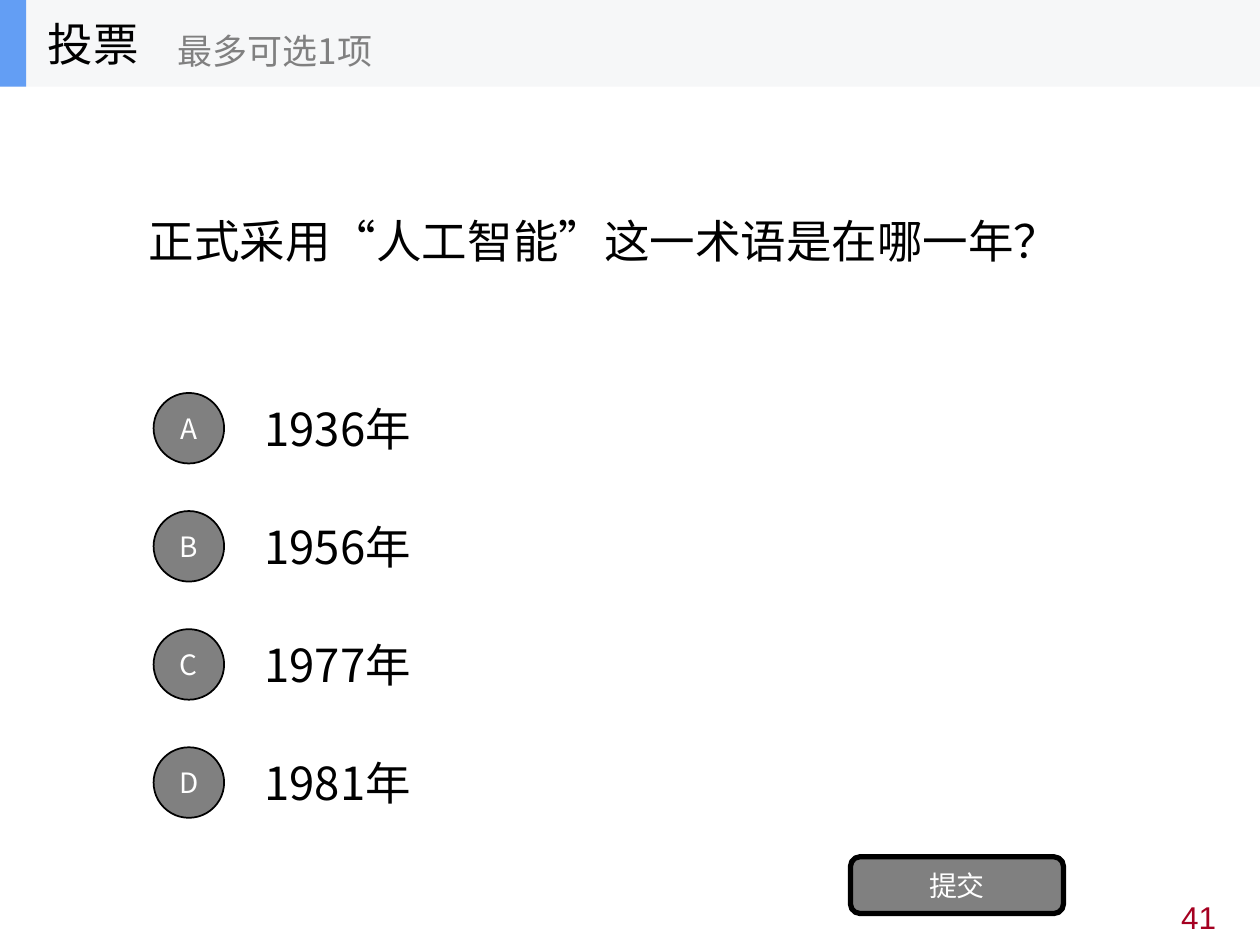
from dataclasses import dataclass

from lxml import etree
from pptx import Presentation
from pptx.dml.color import RGBColor
from pptx.enum import lang, shapes, text
from pptx.oxml import ns
from pptx.util import Pt

COLORS = {
    "black": "000000",
    "white": "FFFFFF",
    "gray": "808080",
    "band": "F6F7F8",
    "accent": "639EF4",
    "page": "A50021",
}
CJK_FONT = "Noto Sans CJK SC"
OPTION_TOP, OPTION_STEP, OPTION_HEIGHT = 219.5, 67.5, 50.4
BADGE_LEFT, BADGE_SIZE = 87.8, 40.3


@dataclass(frozen=True)
class Box:
    left: float
    top: float
    width: float
    height: float

    def points(self) -> tuple:
        return tuple(Pt(n) for n in (self.left, self.top, self.width, self.height))


@dataclass(frozen=True)
class Option:
    letter: str
    answer: str


OPTIONS = [
    Option("A", "1936年"),
    Option("B", "1956年"),
    Option("C", "1977年"),
    Option("D", "1981年"),
]


def write(shape, wording: str, *, size: float = 26, color: str = "black",
          font: str = CJK_FONT, align=text.PP_ALIGN.LEFT,
          anchor=text.MSO_ANCHOR.MIDDLE) -> None:
    frame = shape.text_frame
    frame.word_wrap = True
    frame.vertical_anchor = anchor
    paragraph = frame.paragraphs[0]
    paragraph.alignment = align
    run = paragraph.add_run()
    run.text = wording
    run.font.size = Pt(size)
    run.font.color.rgb = RGBColor.from_string(COLORS[color])
    run.font.language_id = lang.MSO_LANGUAGE_ID.SIMPLIFIED_CHINESE
    run.font.name = font
    east_asian = etree.SubElement(run.font._element, ns.qn("a:ea"))
    east_asian.set("typeface", font)


def add_text(slide, box: Box, wording: str, **style) -> None:
    write(slide.shapes.add_textbox(*box.points()), wording, **style)


def add_block(slide, kind, box: Box, fill: str, line_width: float = 0):
    """Add a filled shape, outlined in black when line_width is above zero."""
    block = slide.shapes.add_shape(kind, *box.points())
    block.shadow.inherit = False
    block.fill.solid()
    block.fill.fore_color.rgb = RGBColor.from_string(COLORS[fill])
    if line_width:
        block.line.color.rgb = RGBColor.from_string(COLORS["black"])
        block.line.width = Pt(line_width)
    else:
        block.line.fill.background()
    return block


def add_button(slide, kind, box: Box, label: str, line_width: float) -> None:
    button = add_block(slide, kind, box, "gray", line_width)
    frame = button.text_frame
    frame.margin_left = frame.margin_right = Pt(0)
    write(button, label, size=16, color="white", align=text.PP_ALIGN.CENTER)


def add_option(slide, index: int, option: Option) -> None:
    top = OPTION_TOP + index * OPTION_STEP
    add_text(slide, Box(144, top, 504, OPTION_HEIGHT), option.answer)
    badge_top = top + (OPTION_HEIGHT - BADGE_SIZE) / 2
    add_button(slide, shapes.MSO_SHAPE.OVAL,
               Box(BADGE_LEFT, badge_top, BADGE_SIZE, BADGE_SIZE), option.letter, 1)


def add_header(slide) -> None:
    add_block(slide, shapes.MSO_SHAPE.RECTANGLE, Box(0, 0, 720, 49.6), "band")
    add_block(slide, shapes.MSO_SHAPE.RECTANGLE, Box(0, 0, 15, 49.6), "accent")
    add_text(slide, Box(20.2, 0, 150, 49.6), "投票")
    add_text(slide, Box(94.3, 8.6, 180, 40.3), "最多可选1项", size=20, color="gray")


def main() -> None:
    deck = Presentation()
    deck.slide_width, deck.slide_height = Pt(720), Pt(540)
    slide = deck.slides.add_slide(deck.slide_layouts[6])

    add_text(slide, Box(545.8, 509.8, 156.2, 28), "41", size=18, color="page",
             font="Arial", align=text.PP_ALIGN.RIGHT, anchor=text.MSO_ANCHOR.TOP)
    add_text(slide, Box(78, 53.3, 576, 168.5), "正式采用“人工智能”这一术语是在哪一年？")
    for index, option in enumerate(OPTIONS):
        add_option(slide, index, option)
    add_button(slide, shapes.MSO_SHAPE.ROUNDED_RECTANGLE,
               Box(486, 489.6, 121.7, 32.4), "提交", 3)
    add_header(slide)

    deck.save("out.pptx")


if __name__ == "__main__":
    main()
